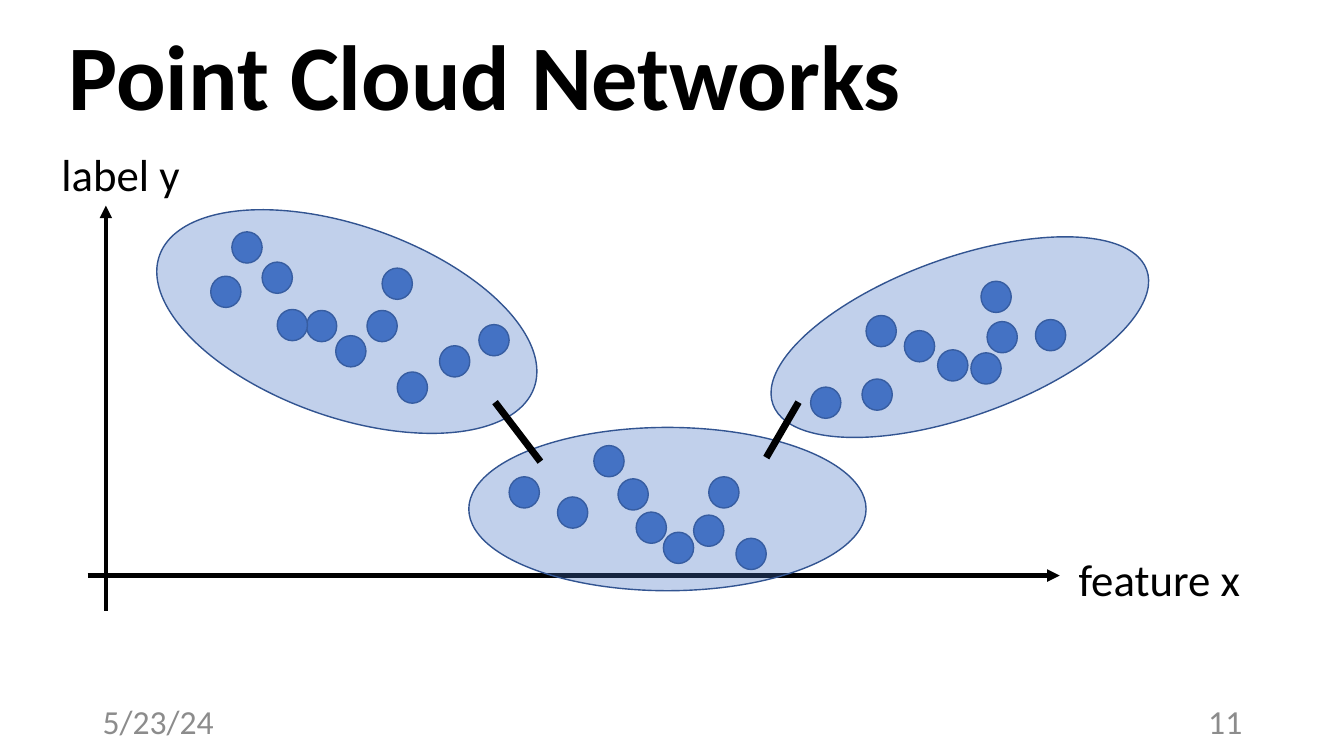
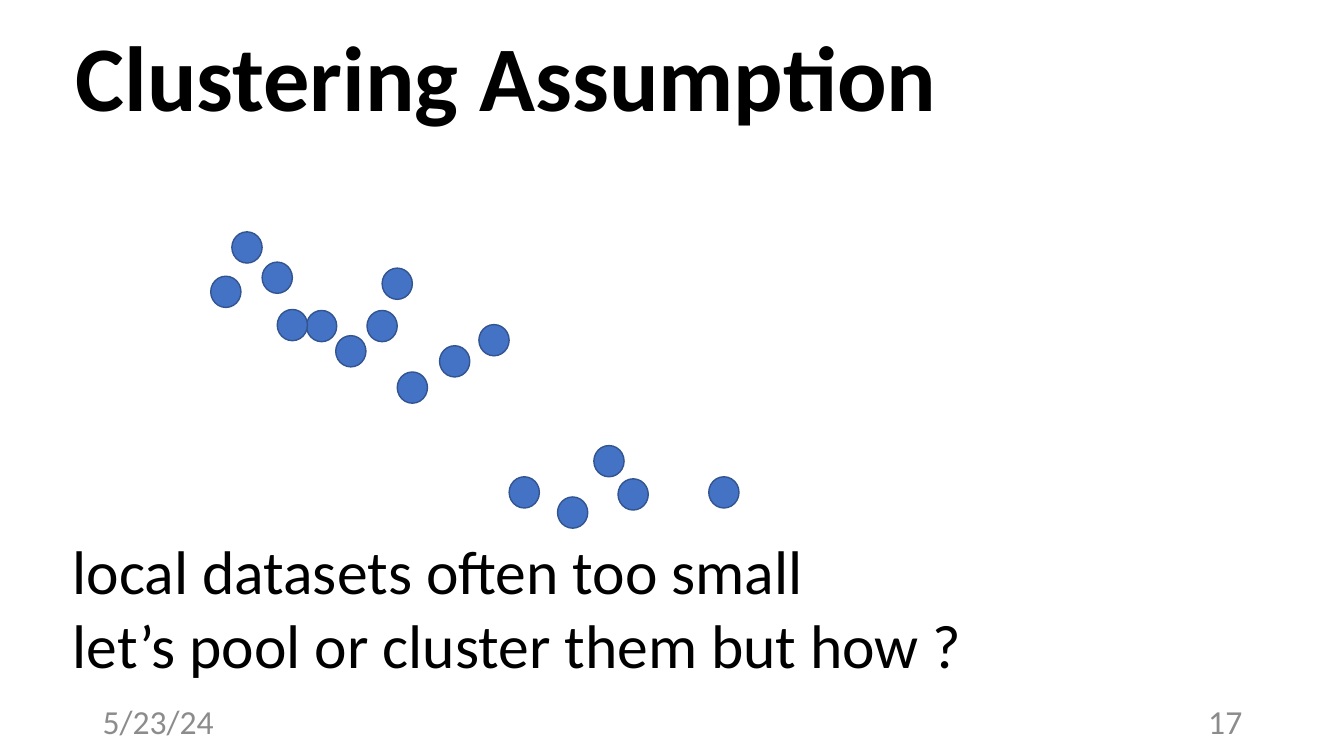
from lxml.etree import SubElement
from pptx import Presentation
from pptx.dml.color import RGBColor
from pptx.enum.shapes import MSO_CONNECTOR, MSO_SHAPE
from pptx.enum.text import MSO_ANCHOR, MSO_AUTO_SIZE, PP_ALIGN
from pptx.oxml.ns import qn
from pptx.util import Inches, Pt

BLACK, GRAY, BLUE, NAVY = "000000", "8C8C8C", "4472C4", "325491"
TITLE = {"size": Pt(66), "bold": True}
BODY = {"size": Pt(44)}
LABEL = {"size": Pt(32)}
FOOTER = {"size": Pt(24)}


def rgb(value):
    return RGBColor.from_string(value)


def write(sp, box, lines, fmt, color=BLACK, align=PP_ALIGN.LEFT, anchor=MSO_ANCHOR.TOP):
    sp.left, sp.top, sp.width, sp.height = [Inches(v) for v in box]
    tf = sp.text_frame
    tf.word_wrap = True
    tf.auto_size = MSO_AUTO_SIZE.NONE
    tf.vertical_anchor = anchor
    tf.text = "\n".join(lines)
    for p in tf.paragraphs:
        p.alignment = align
        p.space_before = Pt(0)
        pPr = p._p.get_or_add_pPr()
        pPr.set("marL", "0")
        pPr.set("indent", "0")
        SubElement(pPr, qn("a:buNone"))
        for r in p.runs:
            for name, value in ({"name": "Calibri"} | fmt).items():
                setattr(r.font, name, value)
            r.font.color.rgb = rgb(color)


left_dots = [
    (2.09, 2.74), (3.04, 3.08), (3.94, 3.69), (4.75, 3.22), (3.64, 3.08),
    (2.6, 2.6), (4.36, 3.43), (3.79, 2.66), (2.3, 2.3), (2.75, 3.07), (3.33, 3.33),
]
middle_dots = [(5.05, 4.73), (5.89, 4.42), (7.03, 4.73), (5.53, 4.93), (6.13, 4.75)]
lower_dots = [(6.58, 5.28), (6.31, 5.08), (6.88, 5.11), (7.3, 5.34)]
right_dots = [
    (8.04, 3.84), (8.59, 3.13), (9.63, 3.5), (9.73, 2.79), (8.55, 3.76),
    (8.97, 3.28), (9.3, 3.47), (9.79, 3.19), (10.27, 3.17),
]
shared_dots = [("ellipse", (x, y, 0.3, 0.31), 0, 100) for x, y in left_dots + middle_dots]
network_dots = [("ellipse", (x, y, 0.3, 0.31), 0, 100) for x, y in lower_dots + right_dots]
axes = [
    ("line", (0.87, 5.71, 10.51, 5.71), 3, True),
    ("line", (1.05, 6.06, 1.05, 2.04), 3, True),
]
clusters = [
    ("ellipse", (1.47, 2.24, 3.94, 1.9), 19.4, 33),
    ("ellipse", (4.65, 4.24, 3.94, 1.62), 0, 33),
    ("ellipse", (7.55, 2.56, 3.94, 1.57), 340.2, 33),
]
links = [
    ("line", (4.91, 3.99, 5.36, 4.58), 5, False),
    ("line", (7.92, 3.99, 7.6, 4.54), 5, False),
]

slides = [
    {
        "title": "Point Cloud Networks", "at": (0.58, 0.13), "page": "11", "layout": 5,
        "labels": [("feature x", (10.6, 5.42, 2.2, 0.64)), ("label y", (0.51, 1.41, 1.8, 0.64))],
        "body": [],
        "drawing": axes + shared_dots + network_dots + clusters + links,
    },
    {
        "title": "Clustering Assumption", "at": (0.65, 0.14), "page": "17", "layout": 1,
        "labels": [],
        "body": ["local datasets often too small", "let’s pool or cluster them but how ?"],
        "drawing": shared_dots,
    },
]

prs = Presentation()
prs.slide_width, prs.slide_height = Inches(13.33), Inches(7.5)

for item in slides:
    s = prs.slides.add_slide(prs.slide_layouts[item["layout"]])
    write(s.shapes.title, (*item["at"], 11, 1.21), [item["title"]], TITLE)
    if item["body"]:
        write(s.placeholders[1], (0.62, 5.24, 11, 1.58), item["body"], BODY)

    for text, x, align in (("5/23/24", 0.92, PP_ALIGN.LEFT), (item["page"], 9.42, PP_ALIGN.RIGHT)):
        sp = s.shapes.add_textbox(0, 0, 0, 0)
        write(sp, (x, 6.95, 3, 0.4), [text], FOOTER, GRAY, align, MSO_ANCHOR.MIDDLE)

    for text, box in item["labels"]:
        write(s.shapes.add_textbox(0, 0, 0, 0), box, [text], LABEL)

    for kind, box, value, option in item["drawing"]:
        box = [Inches(v) for v in box]
        if kind == "line":
            sp = s.shapes.add_connector(MSO_CONNECTOR.STRAIGHT, *box)
            sp.line.color.rgb = rgb(BLACK)
            sp.line.width = Pt(value)
            if option:
                SubElement(sp.line._get_or_add_ln(), qn("a:tailEnd"), type="triangle")
            SubElement(sp._element.spPr, qn("a:effectLst"))
        else:
            sp = s.shapes.add_shape(MSO_SHAPE.OVAL, *box)
            sp.rotation = value
            sp.shadow.inherit = False
            sp.fill.solid()
            sp.fill.fore_color.rgb = rgb(BLUE)
            sp.line.color.rgb = rgb(NAVY)
            sp.line.width = Pt(1)
            if option < 100:
                clr = sp._element.spPr.find(qn("a:solidFill")).find(qn("a:srgbClr"))
                SubElement(clr, qn("a:alpha"), val=str(option * 1000))

prs.save("out.pptx")
